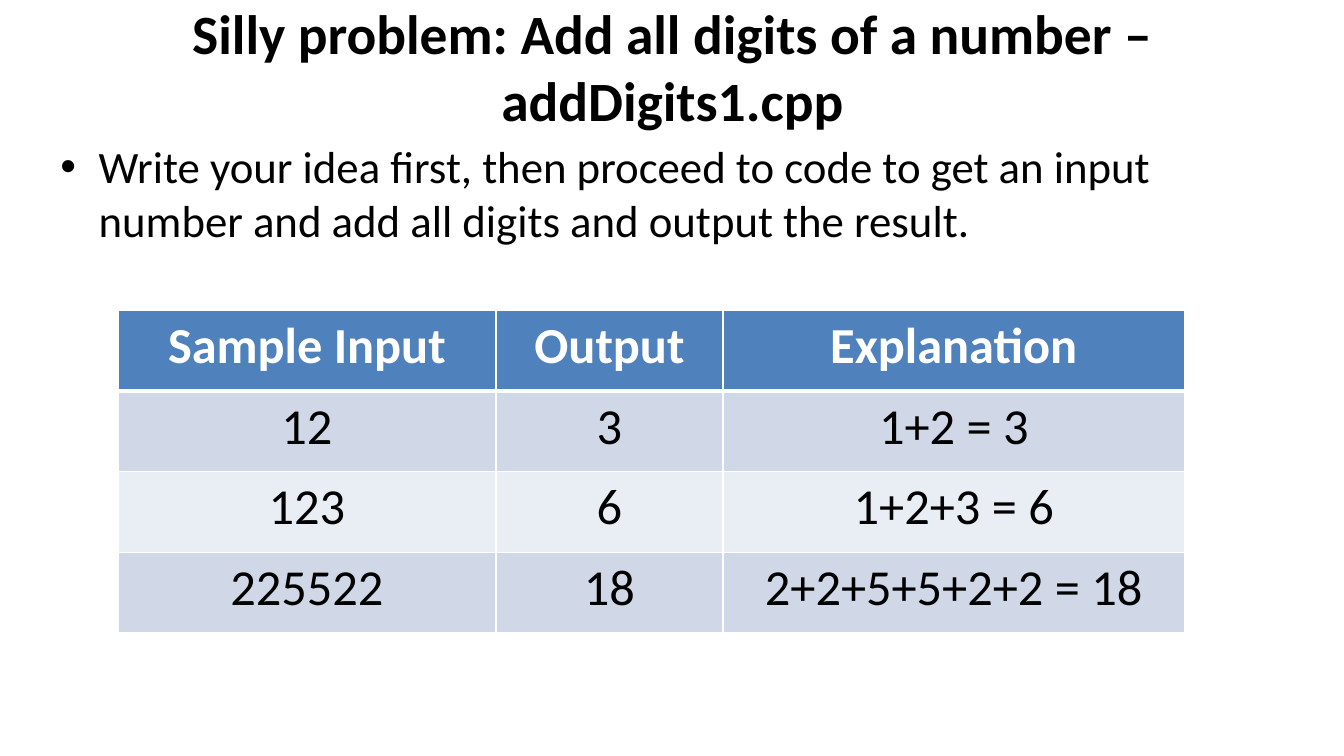
from pptx import Presentation
from pptx.util import Inches, Pt
from pptx.dml.color import RGBColor
from pptx.enum.text import MSO_ANCHOR, PP_ALIGN
from pptx.oxml.ns import qn
from lxml.etree import SubElement

TITLE = "Silly problem: Add all digits of a number – addDigits1.cpp"
TASK = ("Write your idea first, then proceed to code to get an input "
        "number and add all digits and output the result.")
SAMPLES = [
    ("Sample Input", "Output", "Explanation"),
    ("12", "3", "1+2 = 3"),
    ("123", "6", "1+2+3 = 6"),
    ("225522", "18", "2+2+5+5+2+2 = 18"),
]
COL_WIDTHS = (3.75, 2.25, 4.58)
ROW_HEIGHT = 0.8

THEME = {
    "font": "Calibri",
    "title": 39.6, "body": 32, "table": 36,
    "text": "000000", "white": "FFFFFF",
    "header": "4F81BD", "bands": ("D0D8E8", "E9EDF4"),
}


def write(tf, text, size, color="text", bold=False, align=PP_ALIGN.LEFT):
    p = tf.paragraphs[0]
    p.text = text
    p.alignment = align
    font = p.runs[0].font
    font.name = THEME["font"]
    font.size = Pt(THEME[size])
    font.bold = bold
    font.color.rgb = RGBColor.from_string(THEME[color])
    return p


def add_text(slide, box, anchor, *args, **style):
    tf = slide.shapes.add_textbox(*map(Inches, box)).text_frame
    tf.word_wrap = True
    tf.vertical_anchor = anchor
    return write(tf, *args, **style)


def add_bullet(p, indent):
    pPr = p._p.get_or_add_pPr()
    pPr.set("marL", str(Inches(indent)))
    pPr.set("indent", str(-Inches(indent)))
    SubElement(pPr, qn("a:buFont"), typeface="Arial")
    SubElement(pPr, qn("a:buChar"), char="•")


def style_cell(cell, fill, bottom):
    tcPr = cell._tc.get_or_add_tcPr()
    for side, width in (("L", 1), ("R", 1), ("T", 1), ("B", bottom)):
        ln = SubElement(tcPr, qn(f"a:ln{side}"), w=str(Pt(width)))
        solid = SubElement(ln, qn("a:solidFill"))
        SubElement(solid, qn("a:srgbClr"), val=THEME["white"])
    cell.fill.solid()
    cell.fill.fore_color.rgb = RGBColor.from_string(fill)


def add_samples(slide, left, top):
    shape = slide.shapes.add_table(
        len(SAMPLES), len(COL_WIDTHS), Inches(left), Inches(top),
        Inches(sum(COL_WIDTHS)), Inches(ROW_HEIGHT * len(SAMPLES)))
    table = shape.table
    for col, width in zip(table.columns, COL_WIDTHS):
        col.width = Inches(width)
    for i, values in enumerate(SAMPLES):
        header = i == 0
        table.rows[i].height = Inches(ROW_HEIGHT)
        fill = THEME["header"] if header else THEME["bands"][(i - 1) % 2]
        for j, value in enumerate(values):
            cell = table.cell(i, j)
            write(cell.text_frame, value, "table",
                  color="white" if header else "text",
                  bold=header, align=PP_ALIGN.CENTER)
            style_cell(cell, fill, bottom=3 if header else 1)
            if i == 1:
                top_line = cell._tc.tcPr.find(qn("a:lnT"))
                top_line.set("w", str(Pt(3)))


def main():
    prs = Presentation()
    prs.slide_width, prs.slide_height = Inches(13.33), Inches(7.5)
    slide = prs.slides.add_slide(prs.slide_layouts[6])
    add_text(slide, (0.67, 0.22, 12, 0.87), MSO_ANCHOR.MIDDLE,
             TITLE, "title", bold=True, align=PP_ALIGN.CENTER)
    task = add_text(slide, (0.5, 1.33, 12.25, 5.28), MSO_ANCHOR.TOP,
                    TASK, "body")
    add_bullet(task, 0.38)
    add_samples(slide, 1.17, 3.08)
    prs.save("out.pptx")


if __name__ == "__main__":
    main()
